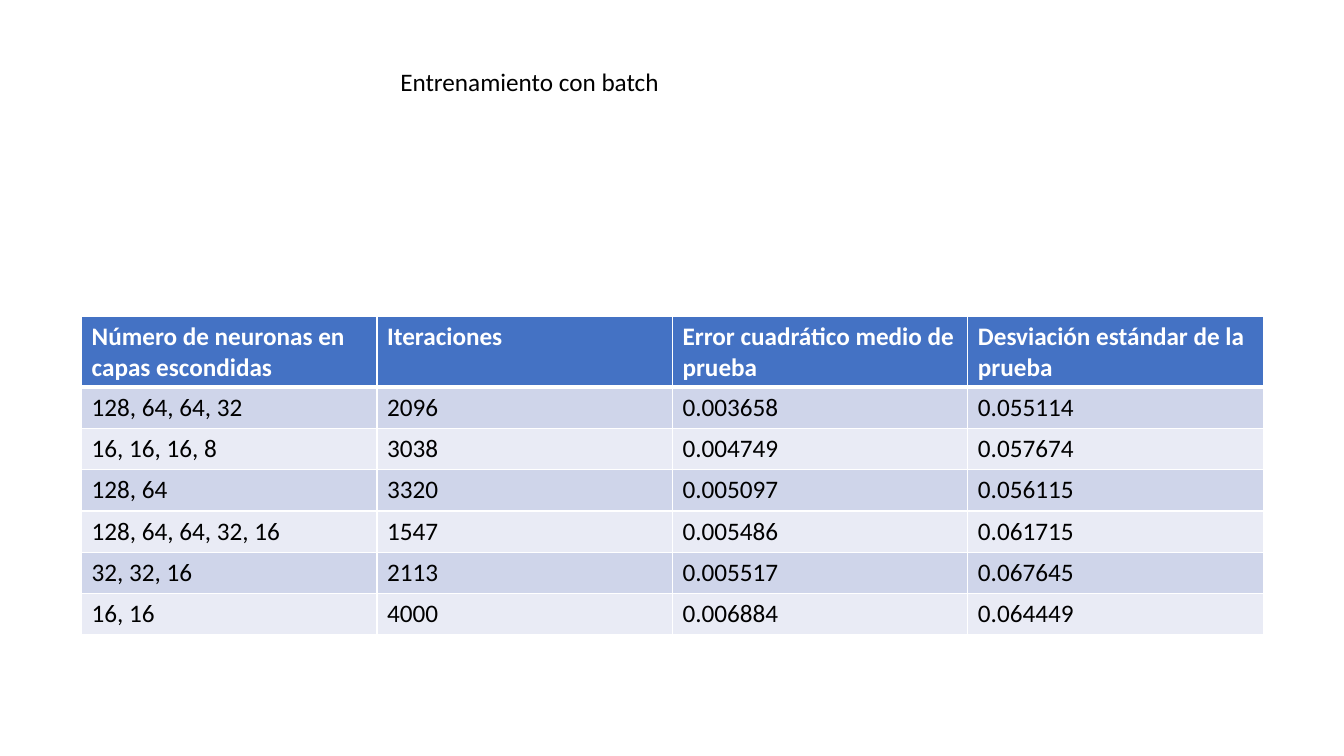
from lxml.etree import SubElement
from pptx import Presentation
from pptx.dml.color import RGBColor
from pptx.enum.text import MSO_ANCHOR, MSO_AUTO_SIZE, PP_ALIGN
from pptx.oxml.ns import qn
from pptx.util import Inches, Pt

TITLE = "Entrenamiento con batch"
HEAD = ("Número de neuronas en capas escondidas", "Iteraciones",
        "Error cuadrático medio de prueba", "Desviación estándar de la prueba")
RUNS = [
    ("128, 64, 64, 32", "2096", "0.003658", "0.055114"),
    ("16, 16, 16, 8", "3038", "0.004749", "0.057674"),
    ("128, 64", "3320", "0.005097", "0.056115"),
    ("128, 64, 64, 32, 16", "1547", "0.005486", "0.061715"),
    ("32, 32, 16", "2113", "0.005517", "0.067645"),
    ("16, 16", "4000", "0.006884", "0.064449"),
]

WHITE = RGBColor(0xFF, 0xFF, 0xFF)
BLACK = RGBColor(0x00, 0x00, 0x00)
BLUE = RGBColor(0x44, 0x72, 0xC4)
BANDS = (RGBColor(0xE9, 0xEB, 0xF5), RGBColor(0xCF, 0xD5, 0xEA))

WIDE, HIGH = 13.33, 7.5
LEFT, TOP = 0.81, 3.14
COL, ROW = 2.93, 0.41
BODY = {"name": "Calibri", "size": Pt(18), "bold": False}
FRAME = {"word_wrap": False, "auto_size": MSO_AUTO_SIZE.SHAPE_TO_FIT_TEXT,
         "vertical_anchor": MSO_ANCHOR.TOP}
PLACE = {"left": Inches(3.87), "top": Inches(0.61),
         "width": Inches(2.8), "height": Inches(0.4)}


def apply(item, values):
    for key, value in values.items():
        setattr(item, key, value)


def write(frame, text, color, bold=False):
    frame.text = text
    para = frame.paragraphs[0]
    para.alignment = PP_ALIGN.LEFT
    font = para.runs[0].font
    apply(font, {**BODY, "bold": bold})
    font.color.rgb = color


def edge(cell, low):
    """Draw white cell borders, with the bottom one `low` points wide."""
    props = cell._tc.get_or_add_tcPr()
    for side, width in (("L", 1), ("R", 1), ("T", 1), ("B", low)):
        line = SubElement(props, qn("a:ln" + side), w=str(Pt(width)))
        fill = SubElement(line, qn("a:solidFill"))
        SubElement(fill, qn("a:srgbClr"), val=str(WHITE))


def add_grid(slide):
    rows = [HEAD] + RUNS
    grid = slide.shapes.add_table(
        len(rows), len(HEAD), Inches(LEFT), Inches(TOP),
        Inches(COL * len(HEAD)), Inches(ROW * len(rows))).table
    for col in grid.columns:
        col.width = Inches(COL)
    for r, row in enumerate(rows):
        top = r == 0
        grid.rows[r].height = Inches(ROW)
        for c, text in enumerate(row):
            cell = grid.cell(r, c)
            write(cell.text_frame, text, WHITE if top else BLACK, top)
            edge(cell, 3 if top else 1)
            cell.fill.solid()
            cell.fill.fore_color.rgb = BLUE if top else BANDS[r % 2]


def main():
    deck = Presentation()
    apply(deck, {"slide_width": Inches(WIDE), "slide_height": Inches(HIGH)})
    slide = deck.slides.add_slide(deck.slide_layouts[5])
    title = slide.shapes.title
    apply(title, PLACE)
    apply(title.text_frame, FRAME)
    write(title.text_frame, TITLE, BLACK)
    add_grid(slide)
    deck.save("out.pptx")


if __name__ == "__main__":
    main()
